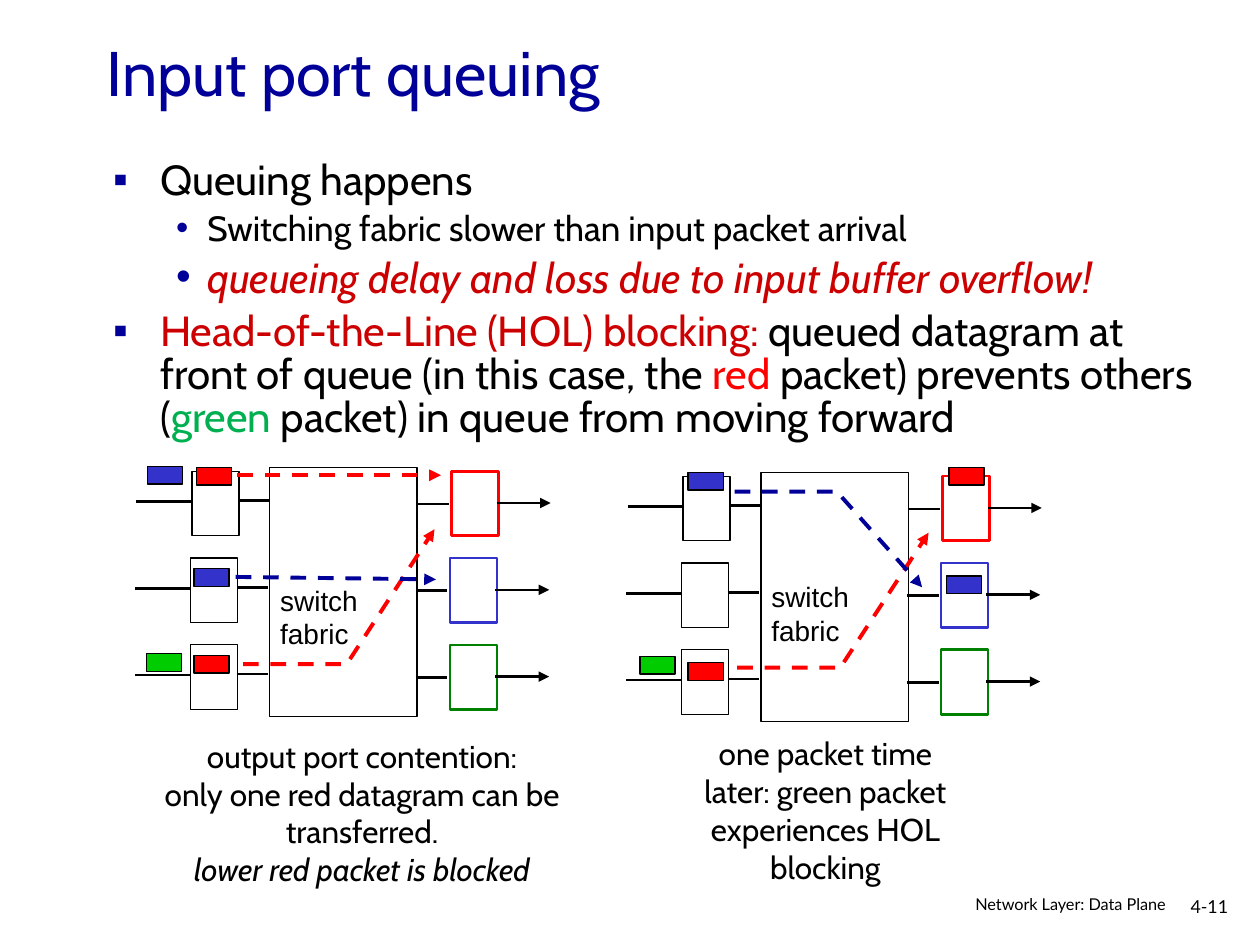
"""Build the slide on input port queuing and head-of-the-line blocking."""
from dataclasses import dataclass

from lxml import etree
from pptx import Presentation
from pptx.dml.color import RGBColor
from pptx.enum import dml, shapes, text
from pptx.oxml import ns
from pptx.util import Cm, Pt

COLORS = {
    "black": "000000", "white": "FFFFFF", "navy": "000099", "crimson": "CC0000",
    "red": "FF0000", "blue": "3333CC", "green": "00CC00", "dark_green": "008000",
    "text_green": "00B050",
}
FABRIC_SIZE = (2.97, 5.03)
LABEL_SIZE = (2.4, 1.63)
PORT_SIZE = (0.95, 1.3)
PACKET_SIZE = (0.71, 0.36)
ROW_PITCH = 1.75
OUTPUT_COLORS = ("red", "blue", "dark_green")
WIRES = ((2.97, 3.61, 0.66, False), (-0.64, 0, 0.59, False),
         (-2.69, -1.57, 0.61, False), (4.57, 5.66, 0.64, True))


@dataclass
class Packet:
    left: float
    top: float
    color: str


@dataclass
class Flow:
    points: list[tuple[float, float]]
    color: str


@dataclass
class Panel:
    left: float
    top: float
    label: tuple[float, float]
    packets: list[Packet]
    flows: list[Flow]


@dataclass
class Bullet:
    runs: list[tuple[str, str]]
    size: float = 24
    level: int = 0
    space_before: float = 6
    italic: bool = False


PANELS = [
    Panel(5.44, 9.42, (5.4, 11.63),
          [Packet(3.96, 9.42, "red"), Packet(3.91, 11.46, "blue"), Packet(3.91, 13.21, "red"),
           Packet(2.97, 9.4, "blue"), Packet(2.95, 13.18, "green")],
          [Flow([(4.78, 9.58), (8.89, 9.58)], "red"),
           Flow([(4.9, 13.39), (6.99, 13.39), (8.76, 10.67)], "red"),
           Flow([(4.75, 11.63), (8.79, 11.68)], "navy")]),
    Panel(15.34, 9.52, (15.3, 11.56),
          [Packet(19.13, 9.42, "red"), Packet(13.87, 9.52, "blue"), Packet(13.87, 13.36, "red"),
           Packet(12.9, 13.23, "green"), Packet(19.08, 11.61, "blue")],
          [Flow([(14.86, 13.46), (16.94, 13.46), (18.72, 10.74)], "red"),
           Flow([(14.81, 9.91), (16.87, 9.91), (18.59, 11.84)], "navy")]),
]
BULLETS = [
    Bullet([("Queuing happens", "black")], space_before=0),
    Bullet([("Switching fabric slower than input packet arrival", "black")],
           size=20, level=1, space_before=5),
    Bullet([("queueing delay and loss due to input buffer overflow!", "crimson")],
           level=1, italic=True),
    Bullet([("Head-of-the-Line (HOL) blocking:", "crimson"),
            (" queued datagram at front of queue (in this case, the ", "black"),
            ("red", "red"), (" packet) prevents others (", "black"),
            ("green ", "text_green"), ("packet) in queue from moving forward", "black")]),
]


def rgb(color: str) -> RGBColor:
    return RGBColor.from_string(COLORS[color])


def add_text(paragraph, content: str, *, size: float, font: str = "Cabin",
             color: str = "black", italic: bool = False) -> None:
    run = paragraph.add_run()
    run.text = content
    run.font.size, run.font.name, run.font.italic = Pt(size), font, italic
    run.font.color.rgb = rgb(color)


def add_box(slide, left: float, top: float, width: float, height: float, *,
            grow: bool = False):
    frame = slide.shapes.add_textbox(Cm(left), Cm(top), Cm(width), Cm(height)).text_frame
    frame.word_wrap = True
    frame.auto_size = text.MSO_AUTO_SIZE.SHAPE_TO_FIT_TEXT if grow else text.MSO_AUTO_SIZE.NONE
    return frame


def add_lines(frame, lines: list[str], *, align=None, spacing=None, **style) -> None:
    for index, line in enumerate(lines):
        paragraph = frame.add_paragraph() if index else frame.paragraphs[0]
        paragraph.alignment, paragraph.line_spacing = align, spacing
        add_text(paragraph, line, **style)


def add_bullets(frame, bullets: list[Bullet]) -> None:
    for index, bullet in enumerate(bullets):
        paragraph = frame.add_paragraph() if index else frame.paragraphs[0]
        paragraph.level = bullet.level
        margin, hanging, symbol = ((0.95, 0.95, "▪"), (1.9, 0.63, "•"))[bullet.level]
        properties = paragraph._p.get_or_add_pPr()
        properties.set("marL", str(Cm(margin)))
        properties.set("indent", str(-Cm(hanging)))
        bullet_color = etree.SubElement(properties, ns.qn("a:buClr"))
        etree.SubElement(bullet_color, ns.qn("a:srgbClr"), val=COLORS["navy"])
        etree.SubElement(properties, ns.qn("a:buFont"), typeface="Arial")
        etree.SubElement(properties, ns.qn("a:buChar"), char=symbol)
        paragraph.line_spacing = 0.85
        paragraph.space_before = Pt(bullet.space_before)
        for content, color in bullet.runs:
            add_text(paragraph, content, size=bullet.size, color=color, italic=bullet.italic)


def add_rectangle(slide, left: float, top: float, size: tuple[float, float], *,
                  fill: str = "white", line: str = "black", width: float = 0.75) -> None:
    shape = slide.shapes.add_shape(shapes.MSO_SHAPE.RECTANGLE, Cm(left), Cm(top), *map(Cm, size))
    shape.shadow.inherit = False
    shape.fill.solid()
    shape.fill.fore_color.rgb = rgb(fill)
    shape.line.color.rgb = rgb(line)
    shape.line.width = Pt(width)


def add_route(slide, points: list[tuple[float, float]], *, color: str = "black",
              width: float = 1.5, dashed: bool = False, arrow: bool = True) -> None:
    corners = [(Cm(x), Cm(y)) for x, y in points]
    if len(corners) == 2:
        shape = slide.shapes.add_connector(shapes.MSO_CONNECTOR.STRAIGHT, *corners[0], *corners[1])
    else:
        builder = slide.shapes.build_freeform(*corners[0])
        builder.add_line_segments(corners[1:], close=False)
        shape = builder.convert_to_shape()
        shape.fill.background()
    shape.line.color.rgb = rgb(color)
    shape.line.width = Pt(width)
    if dashed:
        shape.line.dash_style = dml.MSO_LINE.DASH
    if arrow:
        etree.SubElement(shape.line._get_or_add_ln(), ns.qn("a:tailEnd"), type="triangle")
    etree.SubElement(shape._element.spPr, ns.qn("a:effectLst"))


def draw_panel(slide, panel: Panel) -> None:
    add_rectangle(slide, panel.left, panel.top, FABRIC_SIZE)
    for row, color in enumerate(OUTPUT_COLORS):
        left = panel.left - (0.03 if row else 0)
        top = panel.top + 0.08 + row * ROW_PITCH
        add_rectangle(slide, left - 1.57, top, PORT_SIZE)
        add_rectangle(slide, left + 3.66, top, PORT_SIZE, line=color, width=1.5)
        for start, end, drop, arrow in WIRES:
            add_route(slide, [(left + start, top + drop), (left + end, top + drop)], arrow=arrow)
    for packet in panel.packets:
        add_rectangle(slide, packet.left, packet.top, PACKET_SIZE, fill=packet.color)
    label = add_box(slide, *panel.label, *LABEL_SIZE)
    add_lines(label, ["switch", "fabric"], size=16, font="Arial")
    for flow in panel.flows:
        add_route(slide, flow.points, color=flow.color, width=2.25, dashed=True)


def main() -> None:
    presentation = Presentation()
    presentation.slide_width, presentation.slide_height = Cm(25.4), Cm(19.05)
    slide = presentation.slides.add_slide(presentation.slide_layouts[5])
    title = slide.shapes.title
    title.left, title.top, title.width, title.height = Cm(1.9), Cm(0.81), Cm(21.59), Cm(1.27)
    title.text_frame.auto_size = text.MSO_AUTO_SIZE.NONE
    title.text_frame.vertical_anchor = text.MSO_ANCHOR.MIDDLE
    add_lines(title.text_frame, ["Input port queuing"], align=text.PP_ALIGN.LEFT,
              size=36, color="navy")
    add_bullets(add_box(slide, 2.03, 3.12, 22.5, 7.37), BULLETS)
    for panel in PANELS:
        draw_panel(slide, panel)
    center = text.PP_ALIGN.CENTER
    contention = add_box(slide, 2.59, 14.73, 9.42, 3.3, grow=True)
    add_lines(contention, ["output port contention:", "only one red datagram can be transferred."],
              align=center, size=18)
    contention.paragraphs[-1].add_line_break()
    add_text(contention.paragraphs[-1], "lower red packet is blocked", size=18, italic=True)
    add_lines(add_box(slide, 13.54, 14.68, 6.2, 3.3, grow=True),
              ["one packet time later: green packet experiences HOL blocking"], align=center, size=18)
    add_lines(add_box(slide, 23.75, 17.98, 1.55, 0.76), ["4-11"],
              spacing=0.9, size=10.2, font="Lato")
    add_lines(add_box(slide, 17.7, 17.98, 6.05, 0.66), ["Network Layer: Data Plane"],
              align=text.PP_ALIGN.RIGHT, spacing=0.8, size=9.3, font="Lato")
    presentation.save("out.pptx")


if __name__ == "__main__":
    main()
